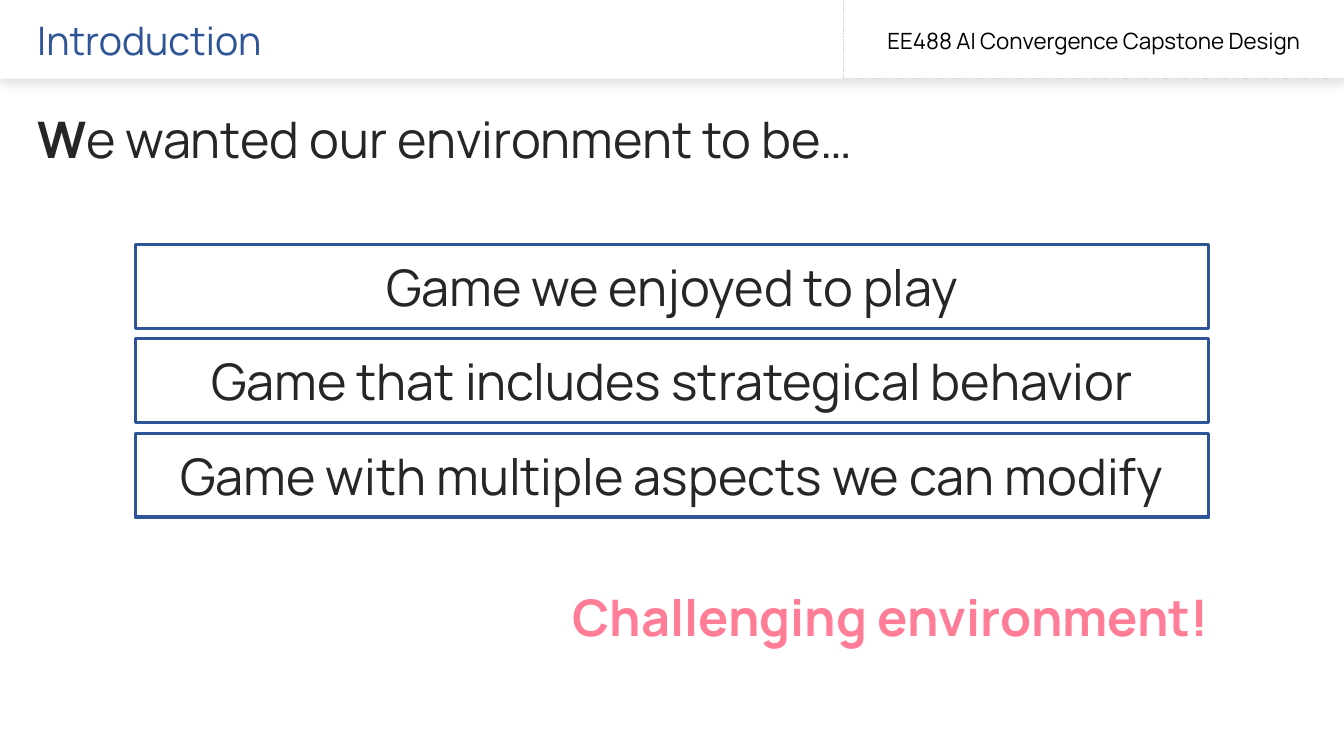
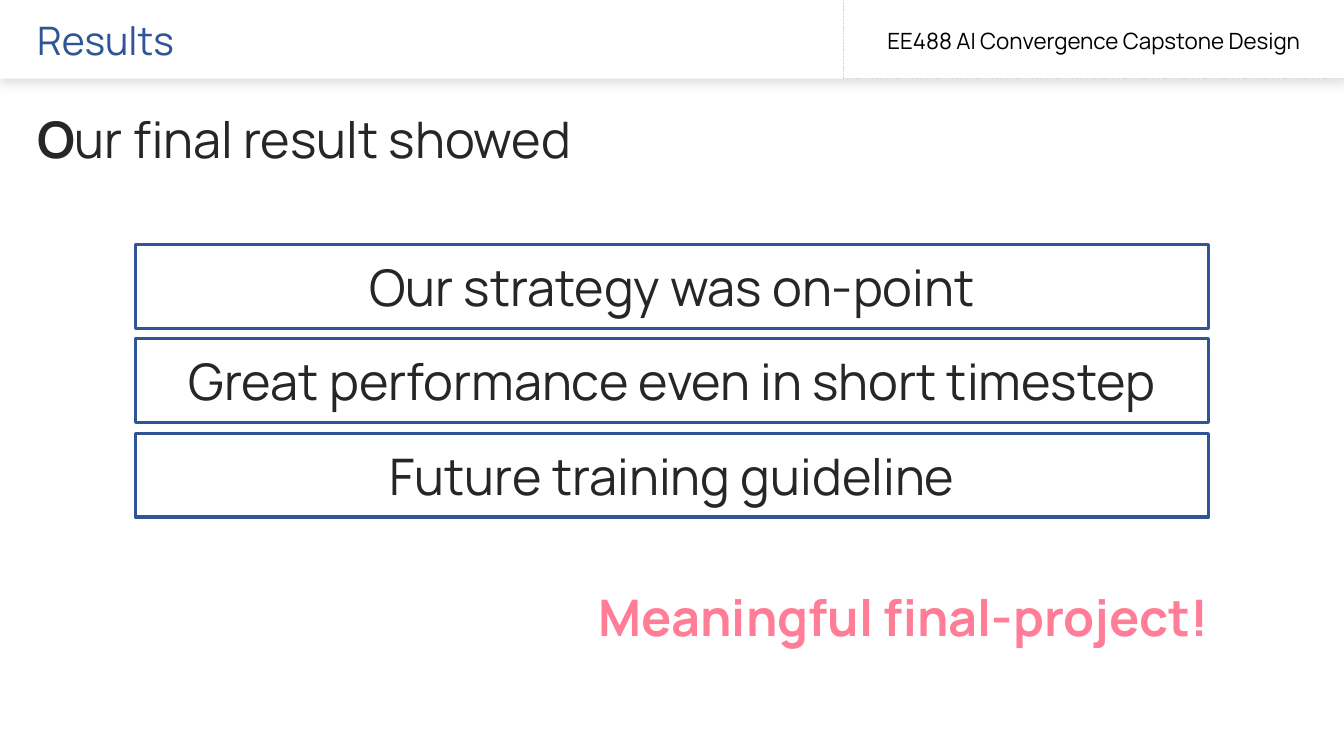
from lxml import etree
from pptx import Presentation
from pptx.dml.color import RGBColor
from pptx.enum.dml import MSO_LINE
from pptx.enum.shapes import MSO_SHAPE
from pptx.enum.text import MSO_ANCHOR, PP_ALIGN
from pptx.oxml.ns import qn
from pptx.util import Emu, Pt

EMU_PER_PX = 9144  # 100 px to the inch
SLIDE_WIDTH, SLIDE_HEIGHT = 1333, 750
FONT = "Manrope"
COLORS = {
    "blue": "2F5597",
    "ink": "262626",
    "pink": "FF7D96",
    "divider": "D9D9D9",
    "black": "000000",
    "white": "FFFFFF",
}
COURSE = "EE488 AI Convergence Capstone Design"
HEADER_HEIGHT = 78
FIRST_BAR_TOP, LAST_BAR_TOP, BAR_HEIGHT = 243, 430, 83

SLIDES = [
    {
        "title": "Introduction",
        "lead": "We wanted our environment to be…",
        "points": [
            "Game we enjoyed to play",
            "Game that includes strategical behavior",
            "Game with multiple aspects we can modify",
        ],
        "conclusion": "Challenging environment!",
    },
    {
        "title": "Results",
        "lead": "Our final result showed",
        "points": [
            "Our strategy was on-point",
            "Great performance even in short timestep",
            "Future training guideline",
        ],
        "conclusion": "Meaningful final-project!",
    },
]


def px(length):
    return Emu(length * EMU_PER_PX)


def rgb(name):
    return RGBColor.from_string(COLORS[name])


def write_text(shape, text, size=36, color="ink", bold=False,
               align=PP_ALIGN.LEFT, bold_initial=False, inset=(10, 5)):
    """Fill a shape with one paragraph; inset is (sides, top and bottom)."""
    frame = shape.text_frame
    frame.word_wrap = True
    frame.vertical_anchor = MSO_ANCHOR.MIDDLE
    frame.margin_left = frame.margin_right = px(inset[0])
    frame.margin_top = frame.margin_bottom = px(inset[1])
    paragraph = frame.paragraphs[0]
    paragraph.alignment = align
    runs = [(text[0], True), (text[1:], bold)] if bold_initial else [(text, bold)]
    for run_text, run_bold in runs:
        run = paragraph.add_run()
        run.text = run_text
        run.font.name = FONT
        run.font.size = Pt(size)
        run.font.bold = run_bold
        run.font.color.rgb = rgb(color)


def add_text(slide, box, text, **text_format):
    shape = slide.shapes.add_textbox(*map(px, box))
    write_text(shape, text, **text_format)


def add_rectangle(slide, box, line=None, width=0.5, dash=None):
    shape = slide.shapes.add_shape(MSO_SHAPE.RECTANGLE, *map(px, box))
    shape.shadow.inherit = False
    shape.fill.solid()
    shape.fill.fore_color.rgb = rgb("white")
    if line is None:
        shape.line.fill.background()
    else:
        shape.line.color.rgb = rgb(line)
        shape.line.width = Pt(width)
        shape.line.dash_style = dash
    return shape


def add_soft_shadow(shape):
    effects = shape.element.spPr.find(qn("a:effectLst"))
    shadow = etree.SubElement(effects, qn("a:outerShdw"), blurRad=str(Pt(8)),
                              dist=str(Pt(3)), dir="5400000", algn="t",
                              rotWithShape="0")
    color = etree.SubElement(shadow, qn("a:srgbClr"), val=COLORS["black"])
    etree.SubElement(color, qn("a:alpha"), val="13000")


def add_header(slide, title):
    band = add_rectangle(slide, (0, 0, SLIDE_WIDTH, HEADER_HEIGHT))
    add_soft_shadow(band)
    add_text(slide, (27, 11, 347, 57), title, size=28, color="blue")
    add_rectangle(slide, (836, -1, 498, HEADER_HEIGHT + 1), line="divider",
                  dash=MSO_LINE.SQUARE_DOT)
    add_text(slide, (836, 22, 498, 37), COURSE, size=16, color="black",
             align=PP_ALIGN.CENTER)


def add_bars(slide, points):
    step = (LAST_BAR_TOP - FIRST_BAR_TOP) / (len(points) - 1)
    for index, point in enumerate(points):
        top = FIRST_BAR_TOP + int(index * step)
        bar = add_rectangle(slide, (134, top, 1065, BAR_HEIGHT),
                            line="blue", width=2.25)
        write_text(bar, point, align=PP_ALIGN.CENTER)


def add_content_slide(presentation, title, lead, points, conclusion):
    slide = presentation.slides.add_slide(presentation.slide_layouts[6])
    add_header(slide, title)
    add_text(slide, (27, 102, 899, 71), lead, bold_initial=True)
    add_bars(slide, points)
    add_text(slide, (310, 576, 899, 71), conclusion, color="pink", bold=True,
             align=PP_ALIGN.RIGHT)


def main():
    presentation = Presentation()
    presentation.slide_width = px(SLIDE_WIDTH)
    presentation.slide_height = px(SLIDE_HEIGHT)
    for content in SLIDES:
        add_content_slide(presentation, **content)
    presentation.save("out.pptx")


if __name__ == "__main__":
    main()
